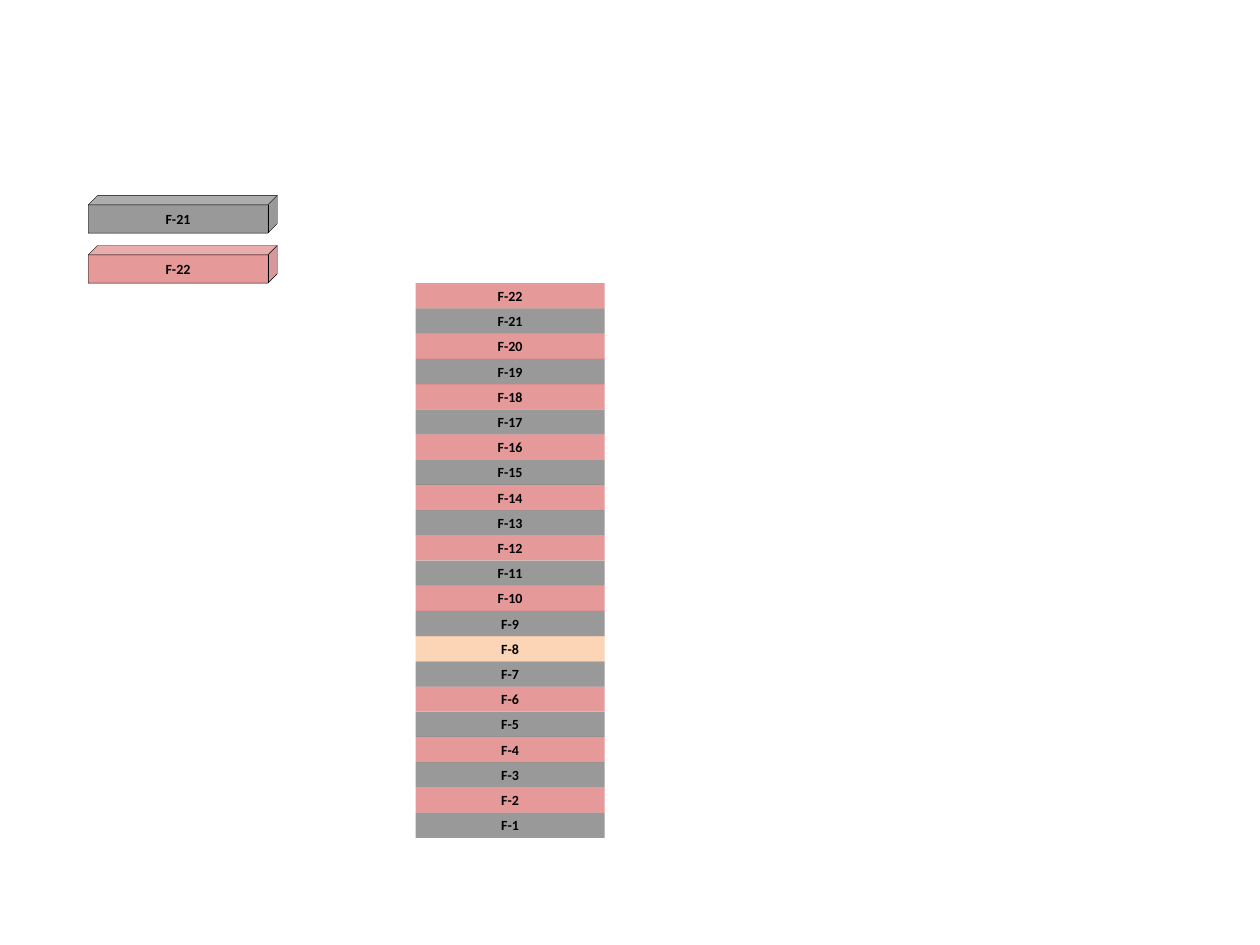
from lxml import etree
from pptx import Presentation
from pptx import util as u
from pptx.dml.color import RGBColor
from pptx.enum import shapes, text
from pptx.oxml import ns

GRAY, RED, PEACH = "000000", "C00000", "F79646"
FLOORS = 22
WIDE, TALL = 3.81, 11.18 / FLOORS
LEFT, BASE = 8.38, 16.89


def color(code):
    """Turn a hex string into a colour."""
    return RGBColor.from_string(code)


def tint(shape, code, alpha=40):
    """Fill a shape with a see-through colour, alpha in percent."""
    shape.fill.solid()
    shape.fill.fore_color.rgb = color(code)
    node = shape.fill._xPr.find(".//" + ns.qn("a:srgbClr"))
    etree.SubElement(node, ns.qn("a:alpha"), val=str(alpha * 1000))


def write(shape, words, size=8, font="Calibri", bold=True, ink="000000"):
    """Put one centred line of text in a shape."""
    frame = shape.text_frame
    frame.word_wrap = True
    frame.vertical_anchor = text.MSO_ANCHOR.MIDDLE
    para = frame.paragraphs[0]
    para.alignment = text.PP_ALIGN.CENTER
    run = para.add_run()
    run.text = words
    run.font.size = u.Pt(size)
    run.font.name = font
    run.font.bold = bold
    run.font.color.rgb = color(ink)


def block(slide, kind, left, top, tall, code, label, line=None):
    """Add a labelled block, outlined when a line width is given."""
    shape = slide.shapes.add_shape(
        kind, u.Cm(left), u.Cm(top), u.Cm(WIDE), u.Cm(tall))
    shape.shadow.inherit = False
    tint(shape, code)
    if line is None:
        shape.line.fill.background()
    else:
        shape.line.color.rgb = color("000000")
        shape.line.width = u.Pt(line)
    write(shape, label)


def shade(num):
    """Pick the colour of a floor by its number."""
    if num == 8:
        return PEACH
    return GRAY if num % 2 else RED


def main():
    """Build the slide with the tower and its two loose blocks."""
    deck = Presentation()
    deck.slide_width, deck.slide_height = u.Cm(25.4), u.Cm(19.05)
    slide = deck.slides.add_slide(deck.slide_layouts[6])
    kind = shapes.MSO_SHAPE
    for num in range(1, FLOORS + 1):
        block(slide, kind.RECTANGLE, LEFT, BASE - num * TALL, TALL,
              shade(num), f"F-{num}")
    for num, top in ((21, 3.94), (22, 4.95)):
        block(slide, kind.CUBE, 1.78, top, 0.76, shade(num), f"F-{num}",
              line=0.25)
    deck.save("out.pptx")


if __name__ == "__main__":
    main()
